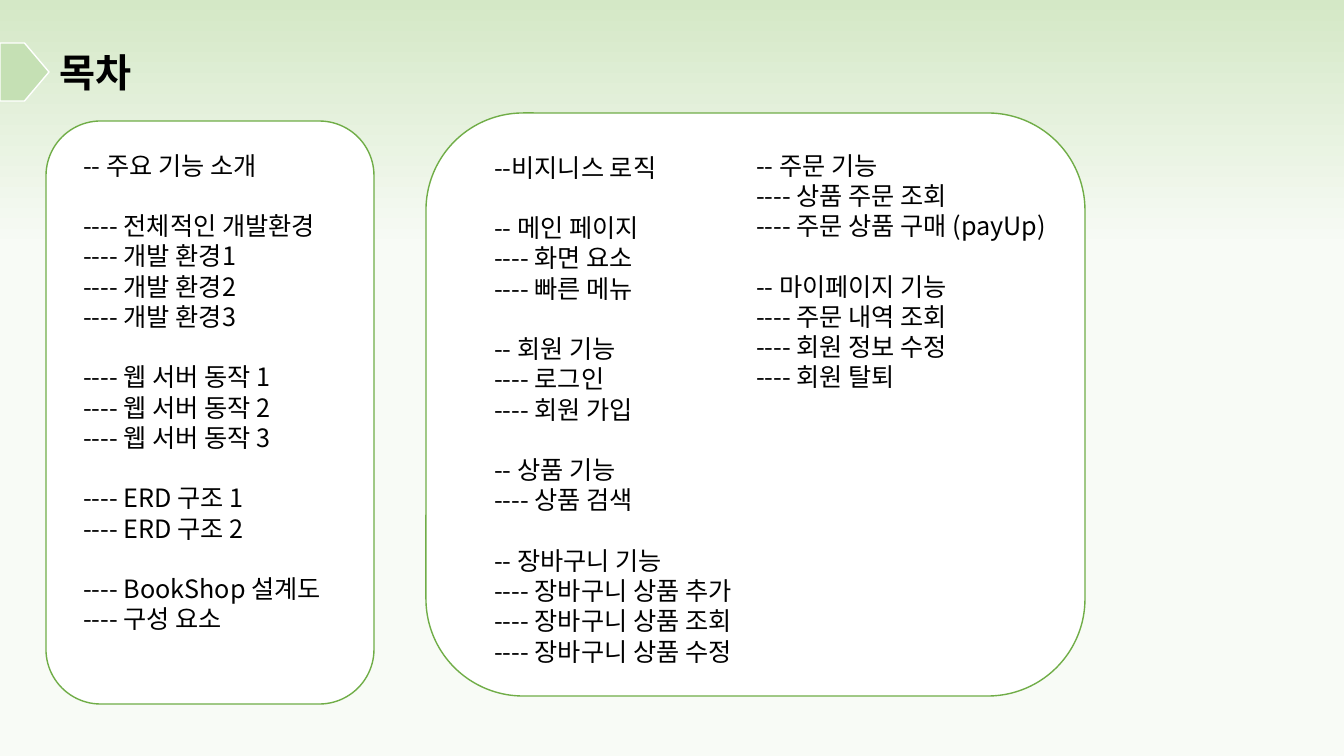
from lxml.etree import SubElement
from pptx import Presentation
from pptx.dml.color import RGBColor
from pptx.enum.shapes import MSO_SHAPE as SHAPE
from pptx.enum.text import MSO_ANCHOR as ANCHOR, MSO_AUTO_SIZE as AUTO, PP_ALIGN as ALIGN
from pptx.oxml.ns import qn
from pptx.util import Pt

FONT = "Noto Sans CJK KR"
BLACK = RGBColor(0x00, 0x00, 0x00)
WHITE = RGBColor(0xFF, 0xFF, 0xFF)
GREEN = RGBColor(0x70, 0xAD, 0x47)
LIGHT_GREEN = RGBColor(0xC5, 0xE0, 0xB4)
BG_TOP = RGBColor(0xD4, 0xE8, 0xC6)
BG_BOTTOM = RGBColor(0xF8, 0xFB, 0xF6)
LINE = Pt(21.6)


def px(*values):
    return [round(v * 914400 / 100.8) for v in values]


def write(sp, box, anchor, groups, size, bold):
    sp.left, sp.top, sp.width, sp.height = px(*box)
    tf = sp.text_frame
    tf.word_wrap = True
    tf.auto_size = AUTO.SHAPE_TO_FIT_TEXT
    tf.vertical_anchor = anchor
    for g, group in enumerate(groups):
        for i, text in enumerate(group):
            p = tf.paragraphs[0] if g == i == 0 else tf.add_paragraph()
            pPr = p._p.get_or_add_pPr()
            pPr.set("marL", "0")
            pPr.set("indent", "0")
            SubElement(pPr, qn("a:buNone"))
            p.alignment = ALIGN.LEFT
            p.space_before = LINE if g and i == 0 else Pt(0)
            if not bold:
                p.line_spacing = LINE
            r = p.add_run()
            r.text = text
            r.font.size = Pt(size)
            r.font.bold = bold
            r.font.name = FONT
            r.font.color.rgb = BLACK
            SubElement(r._r.get_or_add_rPr(), qn("a:ea")).set("typeface", FONT)


prs = Presentation()
prs.slide_width, prs.slide_height = px(1344, 756)
s = prs.slides.add_slide(prs.slide_layouts.get_by_name("Comparison"))

bg = s.background.fill
bg.gradient()
bg.gradient_angle = 270
for stop, position, color in zip(bg.gradient_stops, (0, 0.33), (BG_TOP, BG_BOTTOM)):
    stop.position = position
    stop.color.rgb = color

shapes = [
    (SHAPE.ROUNDED_RECTANGLE, (46, 121, 328, 583), WHITE, GREEN),
    (SHAPE.ROUNDED_RECTANGLE, (426, 113, 659, 583), WHITE, GREEN),
    (SHAPE.PENTAGON, (0, 43, 49, 58), LIGHT_GREEN, WHITE),
]
for z, (kind, box, fill, line) in enumerate(shapes, 2):
    sp = s.shapes.add_shape(kind, *px(*box))
    sp.shadow.inherit = False
    sp.fill.solid()
    sp.fill.fore_color.rgb = fill
    sp.line.color.rgb = line
    sp.line.width = Pt(1)
    s.shapes._spTree.insert(z, sp._element)

write(s.shapes.title, (49, 43, 492, 58), ANCHOR.MIDDLE, [["목차"]], 28, True)

lists = {
    1: ((73, 145, 445, 591), [
        ["-- 주요 기능 소개"],
        ["---- 전체적인 개발환경", "---- 개발 환경1", "---- 개발 환경2", "---- 개발 환경3"],
        ["---- 웹 서버 동작 1", "---- 웹 서버 동작 2", "---- 웹 서버 동작 3"],
        ["---- ERD 구조 1", "---- ERD 구조 2"],
        ["---- BookShop 설계도", "---- 구성 요소"],
    ]),
    2: ((484, 147, 327, 559), [
        ["--비지니스 로직"],
        ["-- 메인 페이지", "---- 화면 요소", "---- 빠른 메뉴"],
        ["-- 회원 기능", "---- 로그인", "---- 회원 가입"],
        ["-- 상품 기능", "---- 상품 검색"],
        ["-- 장바구니 기능", "---- 장바구니 상품 추가", "---- 장바구니 상품 조회",
         "---- 장바구니 상품 수정"],
    ]),
    4: ((746, 145, 389, 254), [
        ["-- 주문 기능", "---- 상품 주문 조회", "---- 주문 상품 구매 (payUp)"],
        ["-- 마이페이지 기능", "---- 주문 내역 조회", "---- 회원 정보 수정", "---- 회원 탈퇴"],
    ]),
}
for sp in list(s.placeholders):
    idx = sp.placeholder_format.idx
    if idx in lists:
        box, groups = lists[idx]
        write(sp, box, ANCHOR.TOP, groups, 18, False)
    elif idx:
        sp._element.getparent().remove(sp._element)

prs.save("out.pptx")
